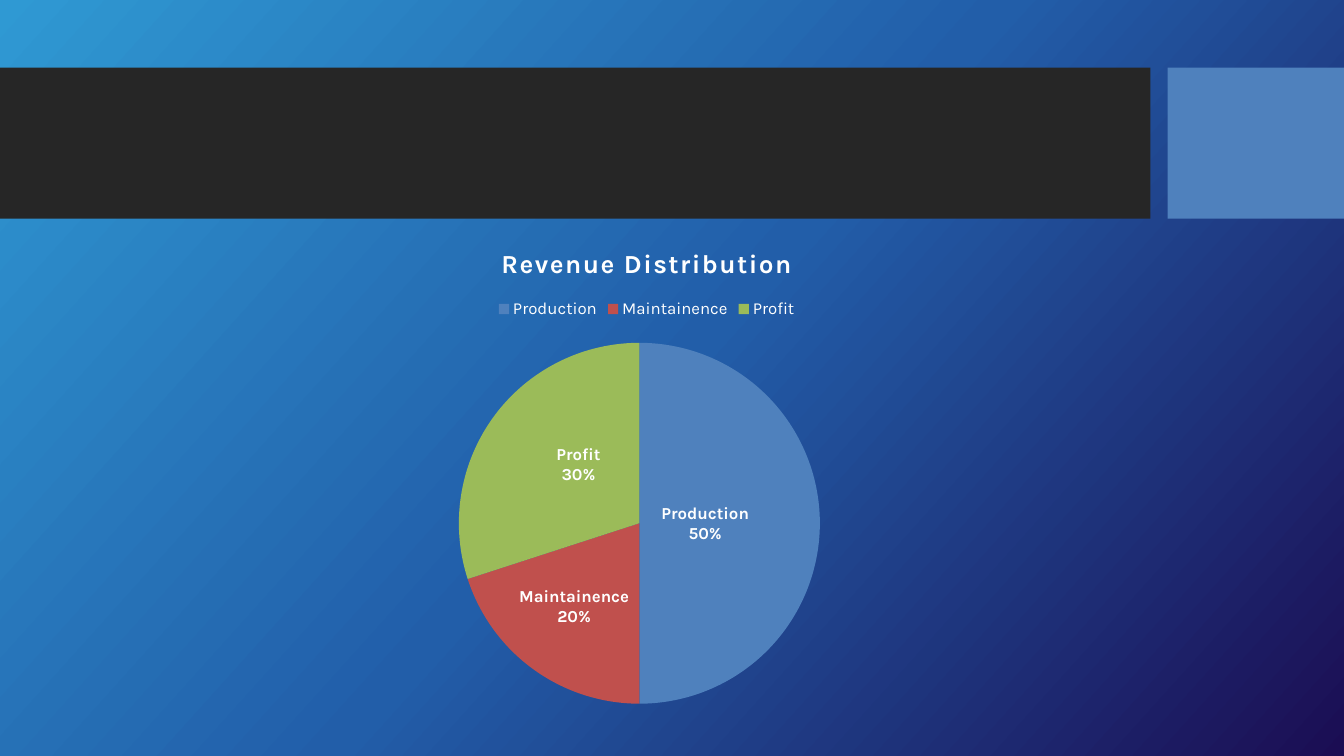
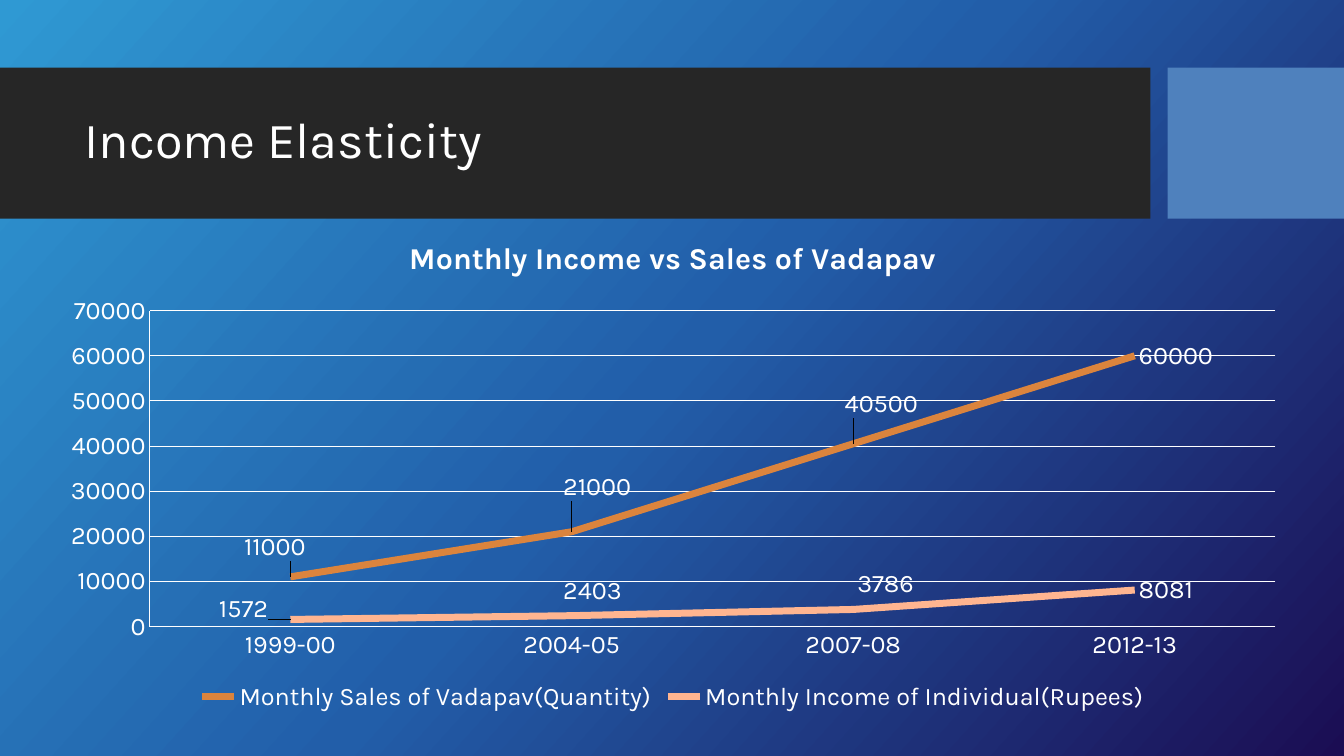
from copy import deepcopy

from lxml.etree import SubElement
from pptx import Presentation
from pptx.chart.data import CategoryChartData
from pptx.dml.color import RGBColor
from pptx.enum.chart import XL_CHART_TYPE as ChartType
from pptx.enum.chart import XL_LABEL_POSITION as LabelPosition
from pptx.enum.chart import XL_LEGEND_POSITION as LegendPosition
from pptx.enum.chart import XL_MARKER_STYLE as Marker
from pptx.enum.chart import XL_TICK_MARK as TickMark
from pptx.enum.shapes import MSO_SHAPE as Shape
from pptx.enum.text import MSO_ANCHOR as Anchor
from pptx.oxml.ns import qn
from pptx.util import Inches, Pt

FONT = "Karla"
COLORS = {
    "text": "FFFFFF",
    "band": "262626",
    "accent": "4F81BD",
    "maintenance": "C0504D",
    "profit": "9BBB59",
    "sales": "DB843D",
    "income": "FFB590",
}
BACKDROP = [(0, "2F99D3"), (0.5, "225EA9"), (1, "1B0D53")]
BACKDROP_ANGLE = 42
BANDS = [(0, 11.41, "band"), (11.58, 1.75, "accent")]


def rgb(name):
    return RGBColor.from_string(COLORS[name])


def style_font(font, size, bold=False):
    font.name = FONT
    font.size = Pt(size)
    font.bold = bold
    font.color.rgb = rgb("text")


def paint_backdrop(slide):
    fill = slide.background.fill
    fill.gradient()
    fill.gradient_angle = 360 - BACKDROP_ANGLE
    stops = slide.element.find(".//" + qn("a:gsLst"))
    stops.append(deepcopy(stops[-1]))
    for stop, (position, color) in zip(fill.gradient_stops, BACKDROP):
        stop.position = position
        stop.color.rgb = RGBColor.from_string(color)


def add_band(slide, left, width, color):
    band = slide.shapes.add_shape(
        Shape.RECTANGLE, Inches(left), Inches(0.67), Inches(width), Inches(1.5))
    band.shadow.inherit = False
    band.fill.solid()
    band.fill.fore_color.rgb = rgb(color)
    band.line.fill.background()


def add_banded_slide(deck):
    slide = deck.slides.add_slide(deck.slide_layouts[6])
    paint_backdrop(slide)
    for band in BANDS:
        add_band(slide, *band)
    return slide


def add_title(slide, text):
    box = slide.shapes.add_textbox(
        Inches(0.74), Inches(0.82), Inches(10.51), Inches(1.18))
    frame = box.text_frame
    frame.word_wrap = True
    frame.vertical_anchor = Anchor.MIDDLE
    paragraph = frame.paragraphs[0]
    paragraph.line_spacing = 0.9
    run = paragraph.add_run()
    run.text = text
    style_font(run.font, 36)


def set_layout(parent, index, **settings):
    for old in parent.findall(qn("c:layout")):
        parent.remove(old)
    layout = SubElement(parent, qn("c:layout"))
    parent.insert(index, layout)
    manual = SubElement(layout, qn("c:manualLayout"))
    for tag, value in settings.items():
        SubElement(manual, qn("c:" + tag)).set("val", str(value))


def add_chart(slide, kind, box, categories, series, size):
    data = CategoryChartData()
    data.categories = categories
    for name, values in series:
        data.add_series(name, values)
    chart = slide.shapes.add_chart(kind, *map(Inches, box), data).chart
    style_font(chart.font, size)
    return chart


def title_chart(chart, text, size, spacing=0):
    chart.has_title = True
    run = chart.chart_title.text_frame.paragraphs[0].add_run()
    run.text = text
    style_font(run.font, size, bold=True)
    run.font._element.set("spc", str(spacing))
    chart.chart_title.include_in_layout = False


def add_legend(chart, position, size):
    chart.has_legend = True
    chart.legend.position = position
    chart.legend.include_in_layout = False
    style_font(chart.legend.font, size)


def place_plot(chart, x, y, w, h):
    area = chart.plots[0]._element.getparent()
    set_layout(area, 0, layoutTarget="inner", xMode="edge", yMode="edge",
               x=x, y=y, w=w, h=h)


def label_series(series, position, size, offsets, bold=False, share=False):
    def show(labels):
        style_font(labels.font, size, bold)
        labels.position = position

    labels = series.data_labels
    show(labels)
    labels.show_value = not share
    labels.show_category_name = labels.show_percentage = share
    for index, (x, y) in enumerate(offsets):
        show(series.points[index].data_label)
        label = series._element.findall(".//" + qn("c:dLbl"))[index]
        set_layout(label, 1, x=x, y=y)
        for tag, shown in (("showVal", not share), ("showCatName", share),
                           ("showPercent", share)):
            label.find(qn("c:" + tag)).set("val", str(int(shown)))


def build_revenue(deck):
    slide = add_banded_slide(deck)
    chart = add_chart(
        slide, ChartType.PIE, (0.36, 2.24, 12.11, 5.16),
        ["Production", "Maintainence", "Profit"],
        [("Revenue Distribution", [50, 20, 30])], 10)
    title_chart(chart, "Revenue Distribution", 18.6, spacing=100)
    add_legend(chart, LegendPosition.TOP, 12)
    place_plot(chart, 0.346, 0.225, 0.296, 0.694)
    chart.plots[0].vary_by_categories = True
    revenue = chart.plots[0].series[0]
    for index, color in enumerate(["accent", "maintenance", "profit"]):
        fill = revenue.points[index].format.fill
        fill.solid()
        fill.fore_color.rgb = rgb(color)
    label_series(revenue, LabelPosition.CENTER, 12,
                 [(-0.02, 0), (-0.01, 0.02), (0.01, -0.01)],
                 bold=True, share=True)


def style_axis(axis):
    axis.major_tick_mark = axis.minor_tick_mark = TickMark.NONE
    style_font(axis.tick_labels.font, 18)
    axis.format.line.color.rgb = rgb("text")
    axis.format.line.width = Pt(0.75)


def build_elasticity(deck):
    slide = add_banded_slide(deck)
    add_title(slide, "Income Elasticity")
    chart = add_chart(
        slide, ChartType.LINE, (0.45, 2.15, 12.45, 4.96),
        ["1999-00", "2004-05", "2007-08", "2012-13"],
        [("Monthly Sales of Vadapav(Quantity)", [11000, 21000, 40500, 60000]),
         ("Monthly Income of Individual(Rupees)", [1572, 2403, 3786, 8081])], 18)
    title_chart(chart, "Monthly Income vs Sales of Vadapav", 21.6)
    add_legend(chart, LegendPosition.BOTTOM, 18)
    place_plot(chart, 0.083, 0.188, 0.897, 0.632)
    style_axis(chart.category_axis)
    style_axis(chart.value_axis)
    chart.value_axis.minimum_scale = 0
    chart.value_axis.maximum_scale = 70000
    chart.value_axis.major_unit = 10000
    grid = chart.value_axis.major_gridlines.format.line
    grid.color.rgb = rgb("text")
    grid.width = Pt(0.75)
    chart.plots[0].vary_by_categories = False
    looks = [
        ("sales", [(-0.04, -0.06), (-0.01, -0.09), (-0.01, -0.08)]),
        ("income", [(-0.06, -0.02), (-0.01, -0.05), (0, -0.05)]),
    ]
    for series, (color, offsets) in zip(chart.plots[0].series, looks):
        series.smooth = False
        series.marker.style = Marker.NONE
        series.format.line.color.rgb = rgb(color)
        series.format.line.width = Pt(5)
        label_series(series, LabelPosition.RIGHT, 18, offsets)


def main():
    deck = Presentation()
    deck.slide_width = Inches(13.33)
    deck.slide_height = Inches(7.5)
    build_revenue(deck)
    build_elasticity(deck)
    deck.save("out.pptx")


if __name__ == "__main__":
    main()
